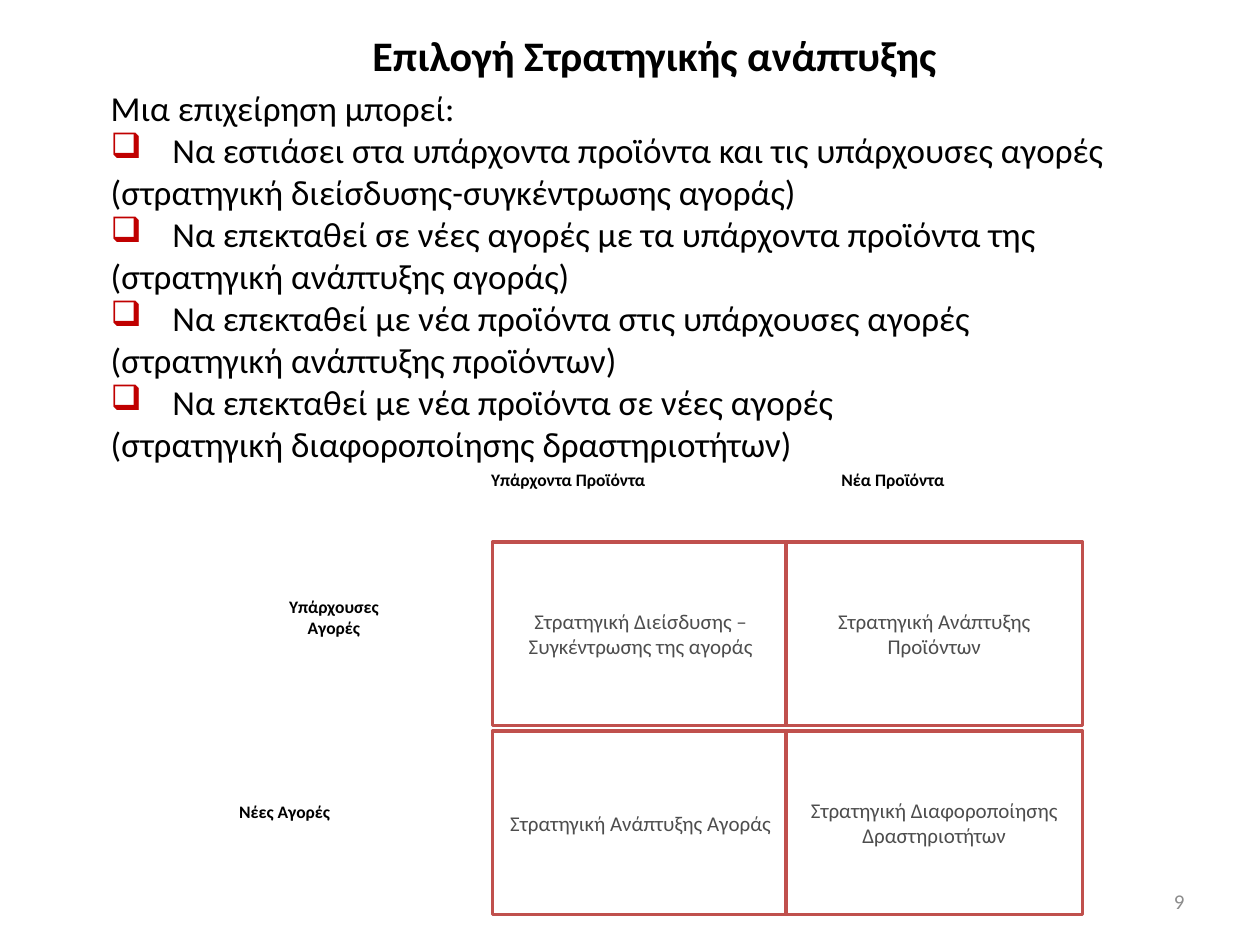
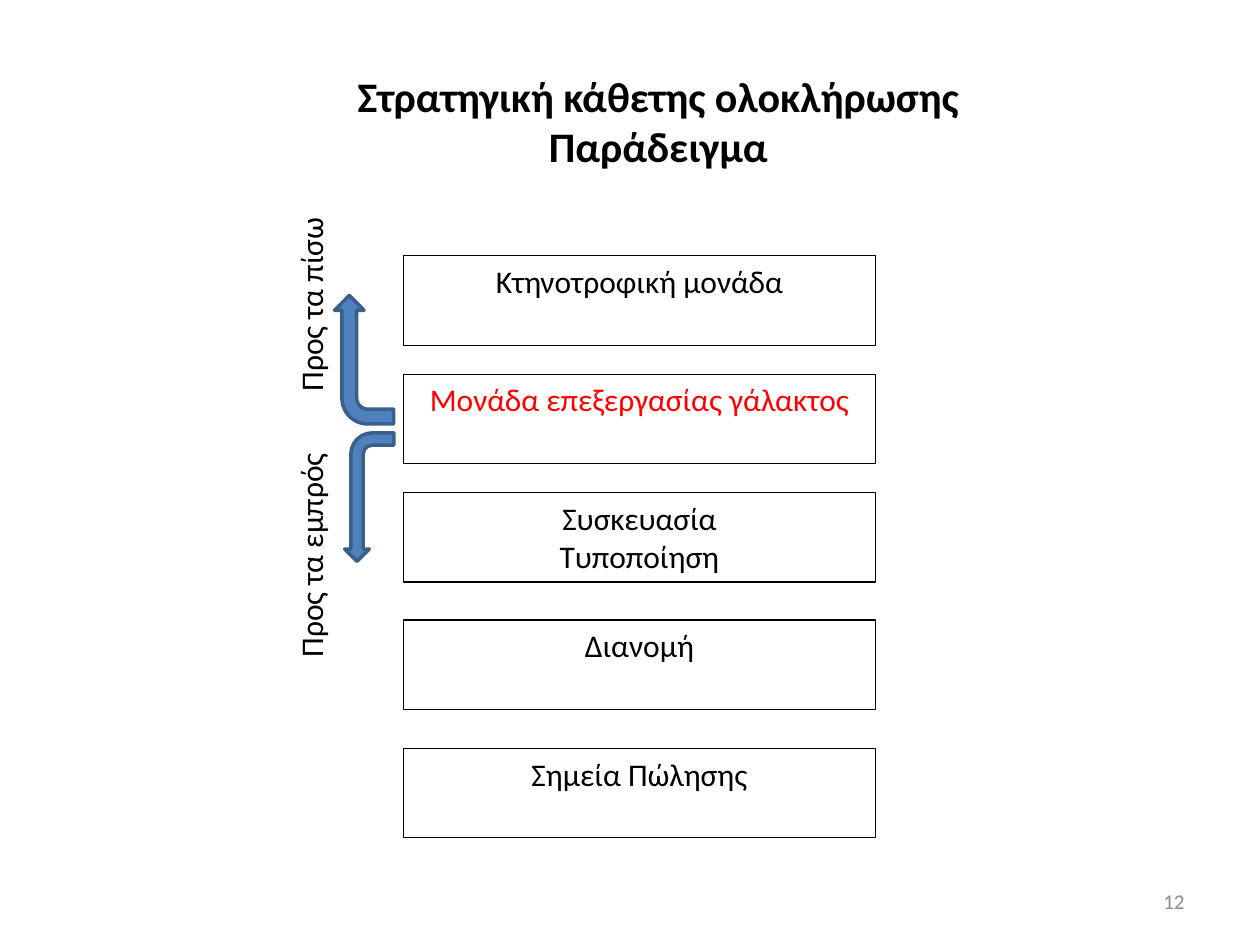
from lxml.etree import SubElement
from pptx import Presentation
from pptx.dml.color import RGBColor
from pptx.enum.shapes import MSO_SHAPE as Shape
from pptx.enum.text import MSO_ANCHOR as Anchor, MSO_AUTO_SIZE as AutoSize, PP_ALIGN as Align
from pptx.oxml.ns import qn
from pptx.util import Inches, Pt

# Shared look
FONT = "Calibri"
BLACK = RGBColor(0x00, 0x00, 0x00)
WHITE = RGBColor(0xFF, 0xFF, 0xFF)
RED = RGBColor(0xFF, 0x00, 0x00)
BULLET_RED = RGBColor(0xC0, 0x00, 0x00)
MATRIX_RED = RGBColor(0xC0, 0x50, 0x4D)
MATRIX_TEXT = RGBColor(0x4D, 0x4D, 0x4D)
NUMBER_GREY = RGBColor(0x8C, 0x8C, 0x8C)
ARROW_BLUE = RGBColor(0x4F, 0x81, 0xBD)
ARROW_EDGE = RGBColor(0x3A, 0x5F, 0x8C)
BULLET_INDENT = Inches(0.49)

# Growth options: action and the strategy's name
OPTIONS = [
    ("Να εστιάσει στα υπάρχοντα προϊόντα και τις υπάρχουσες αγορές",
     "(στρατηγική διείσδυσης-συγκέντρωσης αγοράς)"),
    ("Να επεκταθεί σε νέες αγορές με τα υπάρχοντα προϊόντα της",
     "(στρατηγική ανάπτυξης αγοράς)"),
    ("Να επεκταθεί με νέα προϊόντα στις υπάρχουσες αγορές",
     "(στρατηγική ανάπτυξης προϊόντων)"),
    ("Να επεκταθεί με νέα προϊόντα σε νέες αγορές",
     "(στρατηγική διαφοροποίησης δραστηριοτήτων)"),
]

# Matrix rows are markets, columns are products
MATRIX = [
    ["Στρατηγική Διείσδυσης – Συγκέντρωσης της αγοράς",
     "Στρατηγική Ανάπτυξης Προϊόντων"],
    ["Στρατηγική Ανάπτυξης Αγοράς",
     "Στρατηγική Διαφοροποίησης Δραστηριοτήτων"],
]
MATRIX_LABELS = [
    ("Υπάρχοντα Προϊόντα", (3.8, 3.67, 2.59, 0.43), Align.LEFT),
    ("Νέα Προϊόντα", (6.58, 3.67, 1.81, 0.43), Align.LEFT),
    ("Υπάρχουσες\nΑγορές", (1.8, 4.68, 1.7, 0.7), Align.CENTER),
    ("Νέες Αγορές", (1.8, 6.31, 1.66, 0.43), Align.LEFT),
]

# Milk supply chain: stage, top edge, text colour
STAGES = [
    ("Κτηνοτροφική μονάδα", 2.03, BLACK),
    ("Μονάδα επεξεργασίας γάλακτος", 2.97, RED),
    ("Συσκευασία\nΤυποποίηση", 3.91, BLACK),
    ("Διανομή", 4.92, BLACK),
    ("Σημεία Πώλησης", 5.94, BLACK),
]


def inches(box):
    return [Inches(length) for length in box]


def write(shape, text, size=18, color=BLACK, bold=False, align=Align.LEFT,
          anchor=Anchor.TOP, spacing=None):
    """Fill a shape with text, one paragraph for each line."""
    frame = shape.text_frame
    frame.word_wrap = True
    frame.auto_size = AutoSize.NONE
    frame.vertical_anchor = anchor
    frame.text = text
    for paragraph in frame.paragraphs:
        paragraph.alignment = align
        if spacing:
            paragraph.line_spacing = spacing
        font = paragraph.runs[0].font
        font.name, font.size, font.bold = FONT, Pt(size), bold
        font.color.rgb = color


def add_text(shapes, text, box, rotation=0, **text_format):
    label = shapes.add_textbox(*inches(box))
    label.rotation = rotation
    write(label, text, **text_format)
    return label


def add_block(shapes, kind, box, line, width, fill=None):
    block = shapes.add_shape(kind, *inches(box))
    block.shadow.inherit = False
    if fill is None:
        block.fill.background()
    else:
        block.fill.solid()
        block.fill.fore_color.rgb = fill
    block.line.color.rgb = line
    block.line.width = Pt(width)
    return block


def add_bullet(paragraph):
    props = paragraph._p.get_or_add_pPr()
    props.set("marL", str(BULLET_INDENT))
    props.set("indent", str(-BULLET_INDENT))
    color = SubElement(props, qn("a:buClr"))
    SubElement(color, qn("a:srgbClr"), val=str(BULLET_RED))
    SubElement(props, qn("a:buChar"), char="❑")


def add_bent_arrow(shapes, box, downward=False):
    arrow = add_block(shapes, Shape.BENT_ARROW, box, ARROW_EDGE, 2, ARROW_BLUE)
    arrow.rotation = 270
    if downward:
        arrow._element.spPr.find(qn("a:xfrm")).set("flipH", "1")


def add_titled_slide(deck, title, title_box, number, **title_format):
    """Title-only slide with its heading and page number."""
    slide = deck.slides.add_slide(deck.slide_layouts[5])
    heading = slide.shapes.title
    heading.left, heading.top, heading.width, heading.height = inches(title_box)
    write(heading, title, size=24, bold=True, align=Align.CENTER, **title_format)
    add_text(slide.shapes, number, (7.17, 6.95, 2.33, 0.4), size=12,
             color=NUMBER_GREY, align=Align.RIGHT, anchor=Anchor.MIDDLE)
    return slide


def build_growth_choice(deck):
    slide = add_titled_slide(deck, "Eπιλογή Στρατηγικής ανάπτυξης",
                             (1.22, 0.26, 7.95, 1.09), "9", spacing=0.8)

    # Product and market matrix
    matrix = slide.shapes.add_group_shape().shapes
    for row, strategies in enumerate(MATRIX):
        for column, strategy in enumerate(strategies):
            box = (3.91 + 2.33 * column, 4.3 + 1.5 * row, 2.35, 1.46)
            cell = add_block(matrix, Shape.FLOWCHART_PROCESS, box,
                             MATRIX_RED, 2, WHITE)
            write(cell, strategy, size=12, color=MATRIX_TEXT,
                  align=Align.CENTER, anchor=Anchor.MIDDLE)
    for text, box, align in MATRIX_LABELS:
        add_text(matrix, text, box, size=10, bold=True, align=align)

    # List of options
    lines = ["Μια επιχείρηση μπορεί:"]
    for option in OPTIONS:
        lines.extend(option)
    options = add_text(slide.shapes, "\n".join(lines),
                       (0.78, 0.64, 8.59, 3.47), size=20)
    for action in options.text_frame.paragraphs[1::2]:
        add_bullet(action)


def build_vertical_integration(deck):
    slide = add_titled_slide(deck, "Στρατηγική κάθετης ολοκλήρωσης\nΠαράδειγμα",
                             (1.25, 0.46, 7.95, 1.0), "12", anchor=Anchor.MIDDLE)
    shapes = slide.shapes

    # Chain of stages
    for name, top, color in STAGES:
        stage = add_block(shapes, Shape.RECTANGLE, (3.2, top, 3.75, 0.71),
                          BLACK, 0.75)
        write(stage, name, color=color, align=Align.CENTER)

    # Directions of integration
    add_bent_arrow(shapes, (2.38, 2.62, 1.02, 0.47))
    add_bent_arrow(shapes, (2.42, 3.75, 1.02, 0.39), downward=True)
    for direction, top in [("Προς τα εμπρός", 3.98), ("Προς τα πίσω", 1.87)]:
        add_text(shapes, direction, (1.33, top, 2.27, 0.4), rotation=270)


def main():
    deck = Presentation()
    deck.slide_width, deck.slide_height = Inches(10), Inches(7.5)
    build_growth_choice(deck)
    build_vertical_integration(deck)
    deck.save("out.pptx")


if __name__ == "__main__":
    main()
